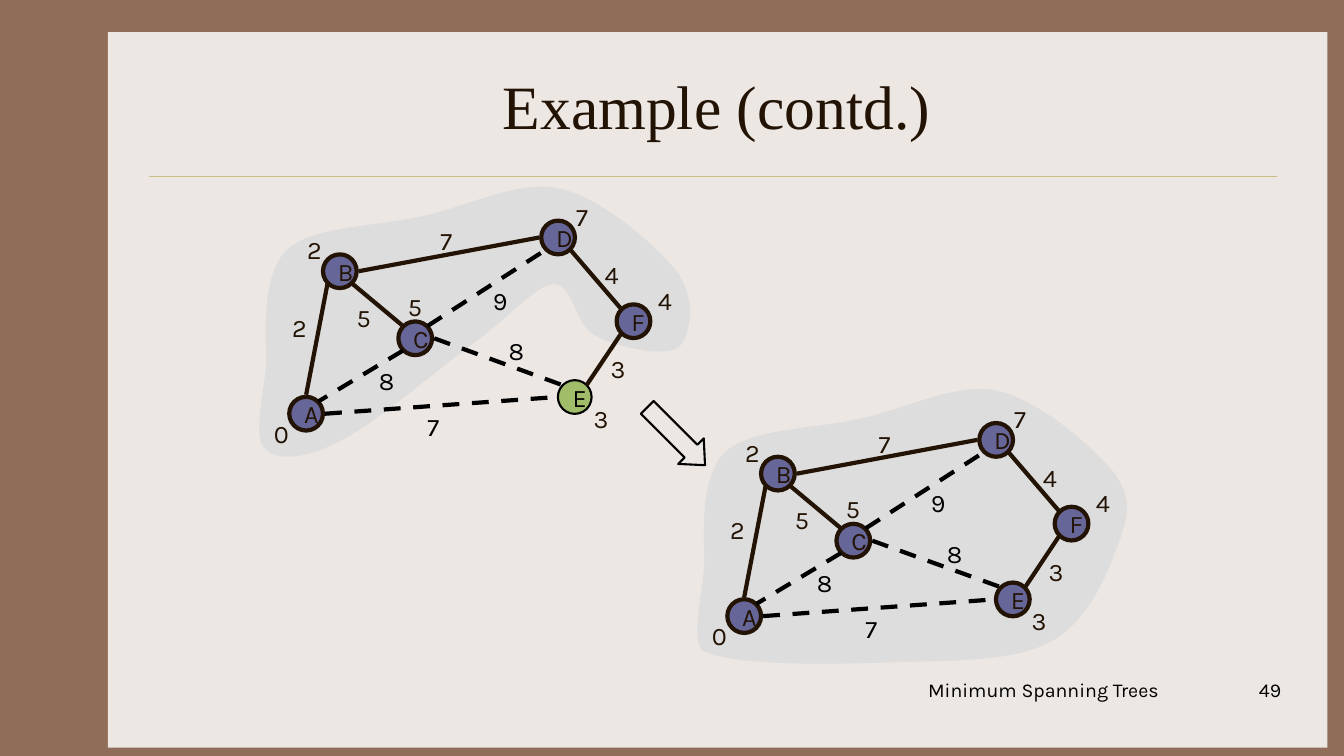
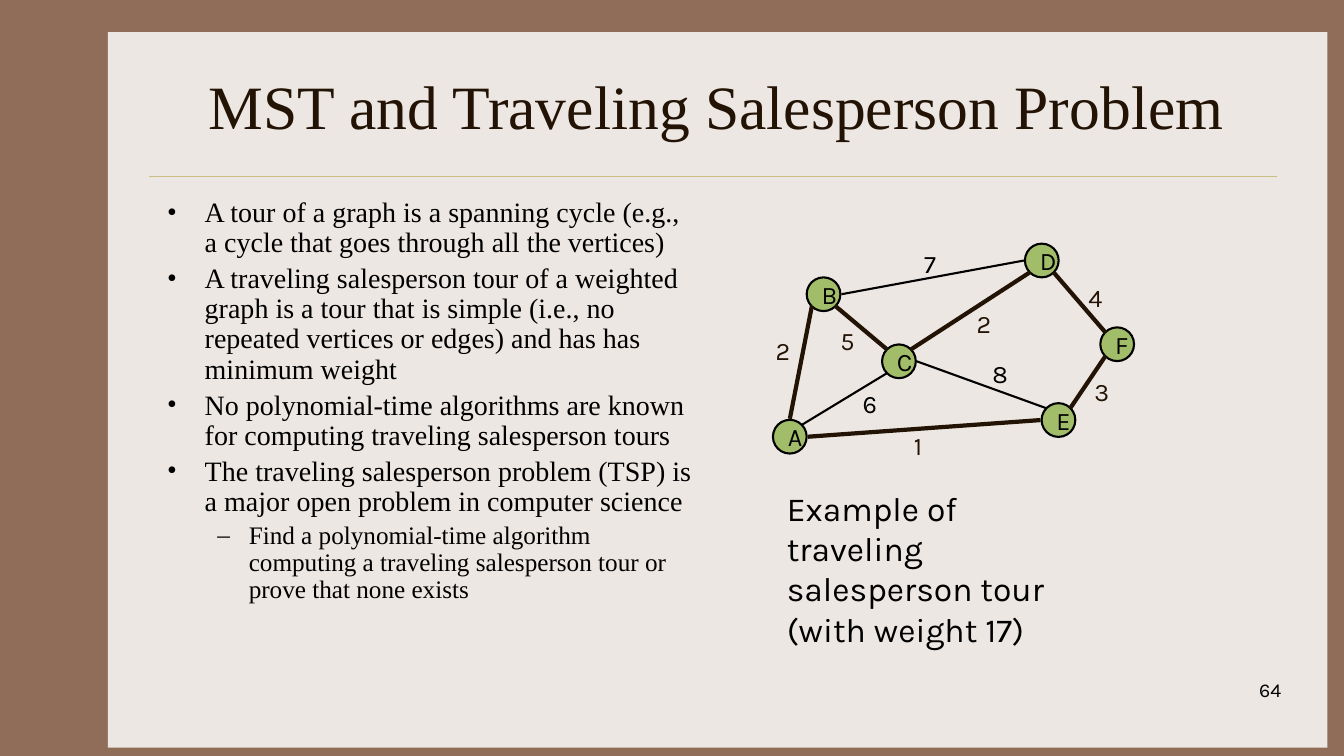
import pptx
import pptx.util
import pptx.dml.color
import pptx.enum.dml
import pptx.enum.shapes
import pptx.enum.text
import pptx.oxml.ns
from lxml import etree

Cm, Pt = pptx.util.Cm, pptx.util.Pt
SHAPE = pptx.enum.shapes.MSO_SHAPE
ANCHOR = pptx.enum.text.MSO_ANCHOR
ALIGN = pptx.enum.text.PP_ALIGN
qn = pptx.oxml.ns.qn

COLORS = {
    "frame": "906D58", "page": "EDE7E3", "rule": "CBBD83", "dark": "221304",
    "black": "000000", "purple": "666699", "green": "A1BD69", "cloud": "DDDDDD",
}
SERIF, SANS = "Times New Roman", "Karla"

# Graph geometry in cm, measured from the graph's origin
NODE = 0.85
NODES = {"B": (0.85, 0.85), "D": (6.35, 0), "C": (2.75, 2.54),
         "A": (0, 4.44), "F": (8.25, 2.11), "E": (6.77, 4.02)}
# Each edge: start side, end side, place of its weight
EDGES = {
    "BC": ("SE", "NW", 1.45, 1.93), "CA": ("SW", "NE", 2.01, 3.51),
    "BA": ("SW", "N", -0.18, 2.18), "CE": ("E", "NW", 5.28, 2.77),
    "AE": ("E", "W", 3.23, 4.67), "BD": ("E", "W", 3.56, 0),
    "CD": ("NE", "SW", 4.88, 1.5), "FD": ("NW", "SE", 7.7, 0.86),
    "EF": ("NE", "SW", 7.85, 3.23),
}
DIAG = 0.65
SIDES = {"N": (0, -1), "E": (1, 0), "W": (-1, 0), "NE": (DIAG, -DIAG),
         "NW": (-DIAG, -DIAG), "SE": (DIAG, DIAG), "SW": (-DIAG, DIAG)}
DISTANCES = {"A": ("0", -0.64, 4.85), "B": ("2", 0.2, 0.23),
             "C": ("5", 2.74, 1.65), "D": ("7", 6.98, -0.61),
             "E": ("3", 7.42, 4.47), "F": ("4", 9.04, 1.5)}

# Cloud outlines: cubic curves as (control, control, end)
CLOUD_START = (-0.58, 3.38)
CLOUD_CORNER = [((-0.56, 4.09), (-0.94, 5.33), (-0.64, 5.72))]
CLOUD_TOP = [
    ((9.27, 0.64), (7.87, -0.58), (6.81, -0.81)),
    ((5.74, -1.04), (4.45, -0.33), (3.3, -0.1)),
    ((2.18, 0.15), (0.64, 0.13), (-0.03, 0.71)),
    ((-0.66, 1.27), (-0.61, 2.67), CLOUD_START),
]
WITHOUT_E = [
    ((-0.33, 6.07), (0.38, 6.02), (1.27, 5.56)),
    ((2.18, 5.11), (3.89, 3.63), (4.8, 2.97)),
    ((5.69, 2.31), (6.2, 1.63), (6.68, 1.6)),
    ((7.16, 1.6), (7.19, 2.64), (7.72, 2.9)),
    ((8.23, 3.18), (9.45, 3.45), (9.8, 3.2)),
    ((10.13, 2.92), (10.26, 1.96), (9.78, 1.3)),
]
WITH_E = [
    ((0.2, 6.17), (2.97, 6.07), (4.45, 6.02)),
    ((5.92, 5.99), (7.26, 5.99), (8.15, 5.51)),
    ((9.04, 5.05), (9.53, 3.91), (9.78, 3.23)),
    ((10.06, 2.51), (10.26, 1.98), (9.78, 1.3)),
]


def rgb(name):
    return pptx.dml.color.RGBColor.from_string(COLORS[name])


class Deck:
    def __init__(self):
        self.prs = pptx.Presentation()
        self.prs.slide_width, self.prs.slide_height = Cm(33.87), Cm(19.05)
        self.s = None

    def slide(self, title, number, footer=None):
        """New slide with frame, page, title, rule and footer."""
        self.s = self.prs.slides.add_slide(self.prs.slide_layouts[6])
        fill = self.s.background.fill
        fill.solid()
        fill.fore_color.rgb = rgb("frame")
        self.shape(SHAPE.RECTANGLE, 2.72, 0.81, 30.73, 18.03, "page")
        self.line((3.76, 4.45), (32.18, 4.45), "rule", 0.25)
        self.text(3.95, 1.05, 28.22, 3.18, [title], 44, "dark", SERIF,
                  align=ALIGN.CENTER, anchor=ANCHOR.MIDDLE)
        self.text(25.48, 16.97, 7.06, 1.27, [number], 14, align=ALIGN.RIGHT)
        if footer:
            self.text(23.14, 16.97, 10.72, 1.27, [footer], 14)

    def style(self, sp, fill=None, line=None, width=1.5):
        sp.shadow.inherit = False
        if fill:
            sp.fill.solid()
            sp.fill.fore_color.rgb = rgb(fill)
        else:
            sp.fill.background()
        if line:
            sp.line.color.rgb = rgb(line)
            sp.line.width = Pt(width)
        else:
            sp.line.fill.background()

    def shape(self, kind, x, y, w, h, *look):
        sp = self.s.shapes.add_shape(kind, Cm(x), Cm(y), Cm(w), Cm(h))
        self.style(sp, *look)
        return sp

    def line(self, start, end, color, width, dashed=False):
        c = self.s.shapes.add_connector(
            pptx.enum.shapes.MSO_CONNECTOR.STRAIGHT,
            *[Cm(v) for v in (*start, *end)])
        c.line.color.rgb = rgb(color)
        c.line.width = Pt(width)
        if dashed:
            c.line.dash_style = pptx.enum.dml.MSO_LINE.DASH
        etree.SubElement(c.element.spPr, qn("a:effectLst"))

    def run(self, p, text, size, color="black", font=SANS):
        for i, part in enumerate(text.split("\n")):
            if i:
                p.add_line_break()
            r = p.add_run()
            r.text = part
            r.font.size, r.font.name = Pt(size), font
            r.font.color.rgb = rgb(color)

    def text(self, x, y, w, h, paragraphs, size, color="black", font=SANS,
             align=ALIGN.LEFT, anchor=ANCHOR.TOP, wrap=True):
        tf = self.s.shapes.add_textbox(Cm(x), Cm(y), Cm(w), Cm(h)).text_frame
        tf.word_wrap, tf.vertical_anchor = wrap, anchor
        for i, text in enumerate(paragraphs):
            p = tf.add_paragraph() if i else tf.paragraphs[0]
            p.alignment = align
            self.run(p, text, size, color, font)
        return tf

    def bullets(self, x, y, w, h, items):
        """Bulleted text from (level, text) pairs."""
        tf = self.text(x, y, w, h, [], 20)
        levels = [("•", 20, 0.95, 0.95), ("–", 18, 2.06, 0.79)]
        for i, (level, text) in enumerate(items):
            mark, size, margin, hang = levels[level]
            p = tf.add_paragraph() if i else tf.paragraphs[0]
            p.level, p.line_spacing, p.space_before = level, 0.9, Pt(size * 0.2)
            pPr = p._p.get_or_add_pPr()
            pPr.set("marL", str(Cm(margin)))
            pPr.set("indent", str(-Cm(hang)))
            etree.SubElement(pPr, qn("a:buFont"), typeface=SERIF)
            etree.SubElement(pPr, qn("a:buChar"), char=mark)
            self.run(p, text, size, font=SERIF)

    def cloud(self, x, y, lower):
        """Closed outline whose points are joined three by three as curves."""
        curves = CLOUD_CORNER + lower + CLOUD_TOP
        points = [(Cm(x + px), Cm(y + py))
                  for px, py in [CLOUD_START, *sum(curves, ())]]
        fb = self.s.shapes.build_freeform(*points[0], scale=1.0)
        fb.add_line_segments(points[1:], close=True)
        sp = fb.convert_to_shape()
        self.style(sp, "cloud")
        segments = list(sp.element.iter(qn("a:lnTo")))
        for i in range(0, len(segments), 3):
            curve = etree.Element(qn("a:cubicBezTo"))
            segments[i].addprevious(curve)
            for segment in segments[i:i + 3]:
                curve.append(segment[0])
                segment.getparent().remove(segment)

    def label(self, x, y, text, color):
        self.text(x, y, 0.86, 1.02, [text], 18, color, wrap=False)

    def graph(self, x, y, weights, heavy, visited="", dashed=False,
              distances=False, nudges=None):
        """Weighted graph: heavy edges and visited nodes stand out."""
        outline = {n: 3 if n in visited else 1.5 for n in NODES}

        def anchor(node, side):
            reach = (NODE + Pt(outline[node]).cm) / 2
            return [o + pos + NODE / 2 + reach * d for o, pos, d
                    in zip((x, y), NODES[node], SIDES[side])]

        for name, (nx, ny) in NODES.items():
            fill, ink = (("purple", "dark") if name in visited
                         else ("green", "black"))
            sp = self.shape(SHAPE.OVAL, x + nx, y + ny, NODE, NODE,
                            fill, ink, outline[name])
            tf = sp.text_frame
            tf.word_wrap, tf.vertical_anchor = False, ANCHOR.MIDDLE
            tf.paragraphs[0].alignment = ALIGN.LEFT
            self.run(tf.paragraphs[0], name, 18, ink)
        for edge, (side1, side2, lx, ly) in EDGES.items():
            strong = edge in heavy
            ink = "dark" if strong else "black"
            self.line(anchor(edge[0], side1), anchor(edge[1], side2), ink,
                      3 if strong or dashed else 1.5, dashed and not strong)
            dx, dy = (nudges or {}).get(edge, (0, 0))
            self.label(x + lx + dx, y + ly + dy, weights[edge], ink)
        if distances:
            for text, lx, ly in DISTANCES.values():
                self.label(x + lx, y + ly, text, "dark")


def main():
    deck = Deck()

    # Slide 1: the last step of the tree's growth
    deck.slide("Example (contd.)", "49", "Minimum Spanning Trees")
    weights = dict(zip(EDGES, "582877943"))
    tree = ("BC", "BA", "BD", "FD", "EF")
    for x, y, lower, visited in ((7.29, 5.56, WITHOUT_E, "ABCDF"),
                                 (18.33, 10.66, WITH_E, "ABCDEF")):
        deck.cloud(x, y, lower)
        deck.graph(x, y, weights, tree, visited, dashed=True, distances=True)
    arrow = deck.shape(SHAPE.RIGHT_ARROW, 16.01, 10.54, 2.06, 0.91,
                       None, "black")
    arrow.adjustments[1] = 0.55
    arrow.rotation = 45

    # Slide 2: traveling salesperson tour
    deck.slide("MST and Traveling Salesperson Problem", "64")
    deck.bullets(3.96, 4.87, 13.82, 11.43, [
        (0, "A tour of a graph is a spanning cycle (e.g., a cycle that goes "
            "through all the vertices)"),
        (0, "A traveling salesperson tour of a weighted graph is a tour that "
            "is simple (i.e., no repeated vertices or edges) and has has "
            "minimum weight"),
        (0, "No polynomial-time algorithms are known for computing traveling "
            "salesperson tours"),
        (0, "The traveling salesperson problem (TSP) is a major open problem "
            "in computer science"),
        (1, "Find a polynomial-time algorithm computing a traveling "
            "salesperson tour or prove that none exists"),
    ])
    deck.graph(19.48, 6.14, dict(zip(EDGES, "562817243")),
               ("BC", "BA", "AE", "CD", "FD", "EF"),
               nudges={"AE": (0.07, -0.1)})
    deck.text(19.58, 12.16, 8.2, 3.33,
              ["Example of traveling\nsalesperson tour", "(with weight 17)"], 24)

    deck.prs.save("out.pptx")


if __name__ == "__main__":
    main()
